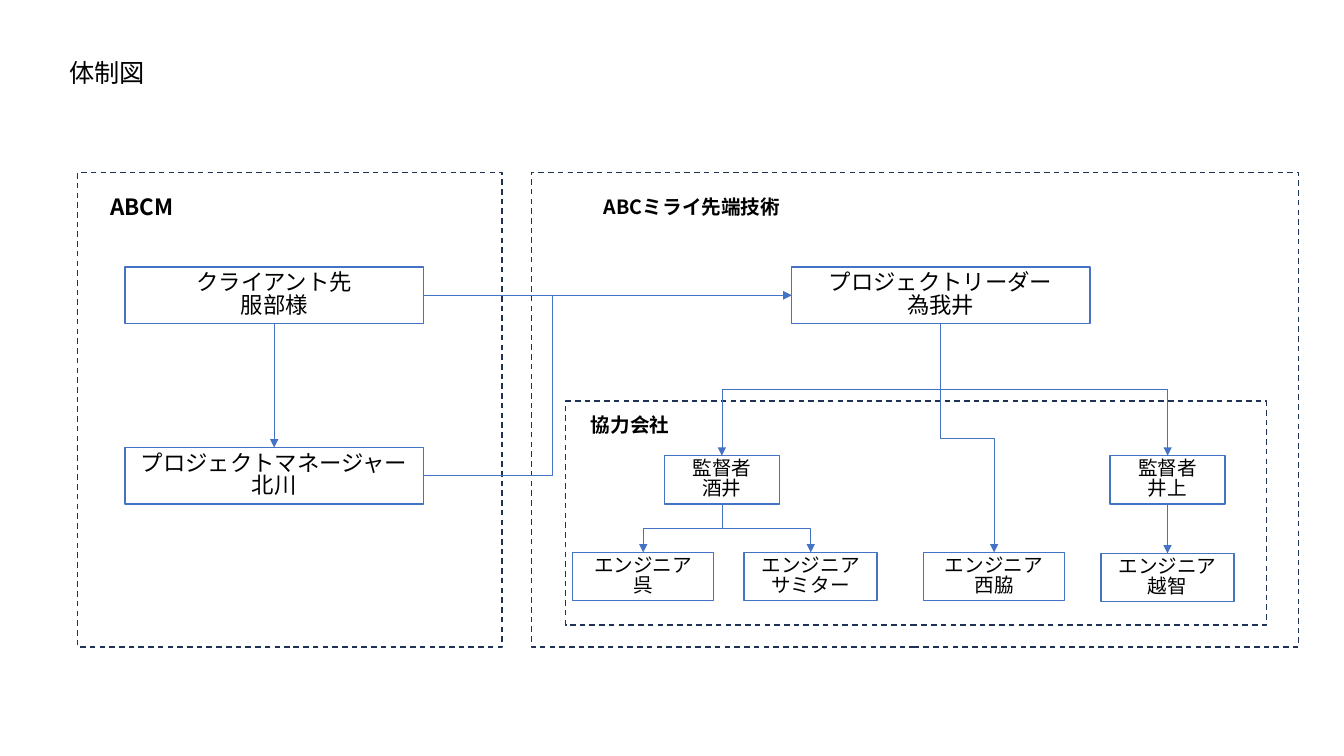
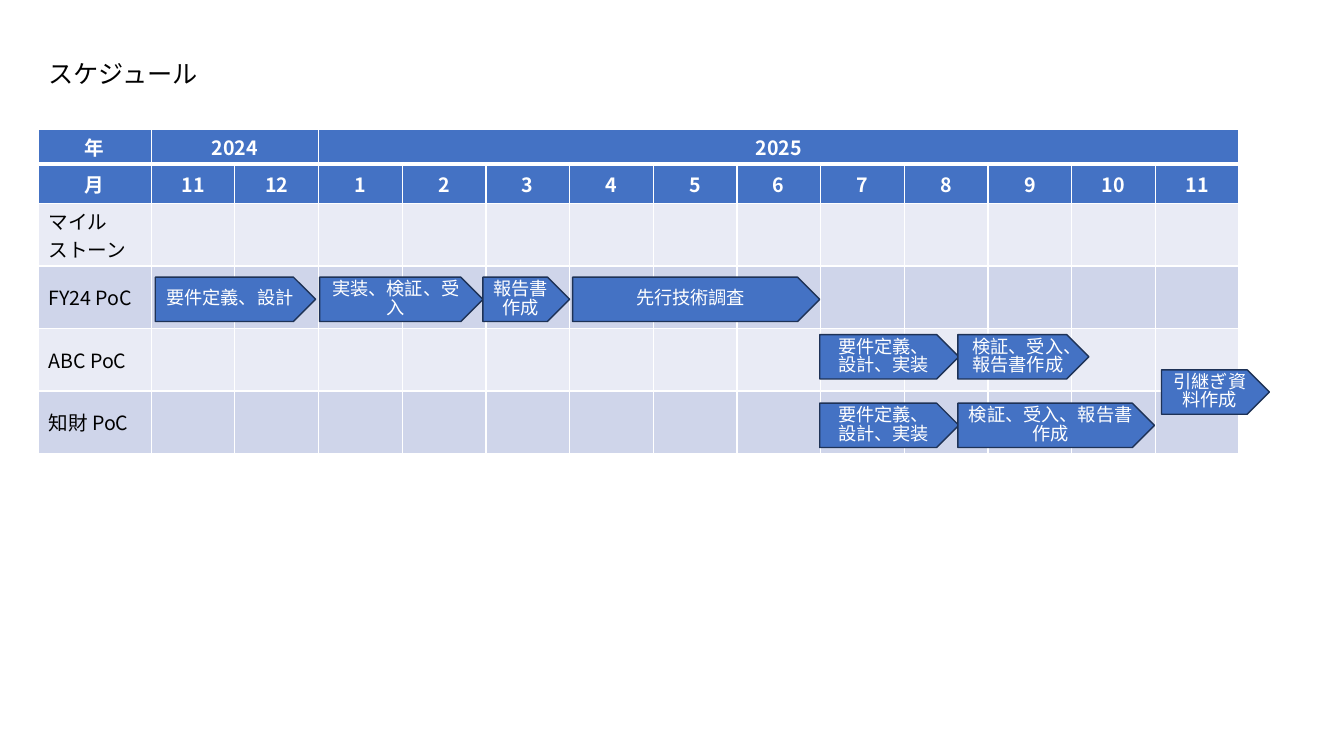
from dataclasses import dataclass

from lxml import etree
from pptx import Presentation
from pptx.dml.color import RGBColor
from pptx.enum.dml import MSO_LINE
from pptx.enum.shapes import MSO_CONNECTOR, MSO_SHAPE
from pptx.enum.text import MSO_ANCHOR, PP_ALIGN
from pptx.oxml.ns import qn
from pptx.util import Pt

PX = 9144  # 100 px to the inch
FONT = "Noto Sans CJK SC"
WHITE, BLACK, BLUE, NAVY = "FFFFFF", "000000", "4472C4", "1E3256"
BANDS = ("E9EBF5", "CFD5EA")
RECT, PLATE = MSO_SHAPE.RECTANGLE, MSO_SHAPE.PENTAGON
LINE, ELBOW = MSO_CONNECTOR.STRAIGHT, MSO_CONNECTOR.ELBOW
DASH = MSO_LINE.DASH
MIDDLE = MSO_ANCHOR.MIDDLE
LEFT, CENTER = PP_ALIGN.LEFT, PP_ALIGN.CENTER
TOP, SIDE, FOOT, RIGHT = 0, 1, 2, 3  # connection sites of a rectangle
TIGHT = 0.84


@dataclass
class Style:
    size: int
    color: str = BLACK
    bold: bool = False
    align: PP_ALIGN = CENTER
    space: float = 1.0


@dataclass
class Box:
    text: str
    x: int
    y: int
    w: int
    h: int
    size: int = 14


@dataclass
class Link:
    start: str
    end: str
    down: bool = True
    bend: float = 0.5


@dataclass
class Bar:
    text: str
    x: int
    y: int
    w: int


FRAMES = [Box("", 77, 171, 421, 471), Box("", 527, 171, 761, 471),
          Box("", 561, 398, 695, 222)]
LABELS = [Box("ABCM", 83, 185, 116, 44, 16),
          Box("ABCミライ先端技術", 588, 185, 197, 44),
          Box("協力会社", 568, 414, 114, 18)]
PEOPLE = {
    "client": Box("クライアント先\n服部様", 124, 265, 296, 56, 16),
    "manager": Box("プロジェクトマネージャー\n北川", 124, 444, 296, 56, 16),
    "leader": Box("プロジェクトリーダー\n為我井", 785, 265, 296, 56, 16),
    "sakai": Box("監督者\n酒井", 659, 452, 114, 48),
    "inoue": Box("監督者\n井上", 1101, 452, 114, 48),
    "kure": Box("エンジニア\n呉", 568, 548, 140, 48),
    "samita": Box("エンジニア\nサミター", 738, 548, 132, 48),
    "nishi": Box("エンジニア\n西脇", 916, 548, 140, 48),
    "ochi": Box("エンジニア\n越智", 1092, 549, 132, 48),
}
LINKS = [Link("client", "leader", down=False), Link("client", "manager"),
         Link("manager", "leader", down=False, bend=0.351),
         Link("leader", "sakai"), Link("leader", "inoue"),
         Link("leader", "nishi"), Link("sakai", "kure"),
         Link("sakai", "samita"), Link("inoue", "ochi")]

COLS = [112] + [83] * 13
ROWS = [35, 39] + [62] * 4
YEARS = {0: "年", 1: "2024", 3: "2025"}
MONTHS = ["月", "11", "12"] + [str(n) for n in range(1, 12)]
TASKS = ["マイル\nストーン", "FY24 PoC", "ABC PoC", "知財 PoC"]
BUILD, CHECK = "要件定義、設計、実装", "検証、受入、報告書作成"
BARS = [Bar("要件定義、設計", 154, 275, 159), Bar("実装、検証、受入", 317, 275, 162),
        Bar("報告書作成", 479, 275, 86), Bar("先行技術調査", 568, 275, 245),
        Bar(BUILD, 813, 332, 138), Bar(CHECK, 950, 332, 130),
        Bar(BUILD, 813, 400, 138), Bar(CHECK, 950, 400, 195),
        Bar("引継ぎ資料作成", 1152, 367, 107)]


def rgb(code: str) -> RGBColor:
    return RGBColor.from_string(code)


def emu(*sizes: float) -> list[int]:
    return [round(size * PX) for size in sizes]


def write(frame, text: str, style: Style) -> None:
    frame.text = text
    for para in frame.paragraphs:
        para.alignment = style.align
        para.line_spacing = style.space
        for run in para.runs:
            font = run.font
            font.name, font.size, font.bold = FONT, Pt(style.size), style.bold
            font.color.rgb = rgb(style.color)
            east = etree.SubElement(run._r.get_or_add_rPr(), qn("a:ea"))
            east.set("typeface", FONT)


def add_shape(slide, kind, at: tuple, fill: str = "", line: str = ""):
    shape = slide.shapes.add_shape(kind, *emu(*at))
    shape.shadow.inherit = False
    if fill:
        shape.fill.solid()
        shape.fill.fore_color.rgb = rgb(fill)
    else:
        shape.fill.background()
    if line:
        shape.line.color.rgb = rgb(line)
        shape.line.width = Pt(1)
    else:
        shape.line.fill.background()
    shape.text_frame.word_wrap = True
    shape.text_frame.vertical_anchor = MIDDLE
    return shape


def add_box(slide, box: Box, line: str = "", bold: bool = False):
    shape = add_shape(slide, RECT, (box.x, box.y, box.w, box.h), WHITE, line)
    write(shape.text_frame, box.text, Style(box.size, bold=bold, space=TIGHT))
    return shape


def add_title(slide, text: str, x: int, y: int) -> None:
    title = slide.shapes.add_textbox(*emu(x, y, 556, 40))
    title.text_frame.word_wrap = True
    write(title.text_frame, text, Style(18, align=LEFT))


def turn(line, start: tuple, end: tuple) -> None:
    """Make an elbow leave its start downwards."""
    wide, high = abs(end[0] - start[0]), end[1] - start[1]
    mid_x, mid_y = (start[0] + end[0]) / 2, (start[1] + end[1]) / 2
    line.left, line.top, line.width, line.height = emu(
        mid_x - high / 2, mid_y - wide / 2, high, wide)
    xfrm = line._element.spPr.find(qn("a:xfrm"))
    for flip in ("flipH", "flipV"):
        xfrm.attrib.pop(flip, None)
    if end[0] < start[0]:
        xfrm.set("rot", "5400000")
    else:
        xfrm.set("rot", "16200000")
        xfrm.set("flipH", "1")


def add_link(slide, link: Link, shapes: dict) -> None:
    one, two = PEOPLE[link.start], PEOPLE[link.end]
    if link.down:
        start, end = (one.x + one.w / 2, one.y + one.h), (two.x + two.w / 2, two.y)
        sites = FOOT, TOP
    else:
        start, end = (one.x + one.w, one.y + one.h / 2), (two.x, two.y + two.h / 2)
        sites = RIGHT, SIDE
    bent = start[0] != end[0] and start[1] != end[1]
    line = slide.shapes.add_connector(ELBOW if bent else LINE, *emu(*start, *end))
    line.begin_connect(shapes[link.start], sites[0])
    line.end_connect(shapes[link.end], sites[1])
    props = line._element.spPr
    if bent:
        if link.down:
            turn(line, start, end)
        guides = props.find(qn("a:prstGeom")).find(qn("a:avLst"))
        etree.SubElement(guides, qn("a:gd"), name="adj1",
                         fmla=f"val {round(link.bend * 100000)}")
    line.line.color.rgb = rgb(BLUE)
    line.line.width = Pt(0.5)
    etree.SubElement(props.find(qn("a:ln")), qn("a:tailEnd"), type="triangle")
    etree.SubElement(props, qn("a:effectLst"))


def edge(cell, side: str, width: float) -> None:
    props = cell._tc.get_or_add_tcPr()
    line = etree.SubElement(props, qn(f"a:ln{side}"), w=str(Pt(width)))
    fill = etree.SubElement(line, qn("a:solidFill"))
    etree.SubElement(fill, qn("a:srgbClr"), val=WHITE)


def add_table(slide) -> None:
    table = slide.shapes.add_table(
        len(ROWS), len(COLS), *emu(38, 128, sum(COLS), sum(ROWS))).table
    for col, width in zip(table.columns, emu(*COLS)):
        col.width = width
    for row, height in zip(table.rows, emu(*ROWS)):
        row.height = height
    for r in range(len(ROWS)):
        for c in range(len(COLS)):
            cell = table.cell(r, c)
            cell.vertical_anchor = MIDDLE
            cell.margin_top, cell.margin_bottom = emu(2, 2)
            for side in "LRTB":
                thick = (r, side) in ((0, "B"), (1, "T"))
                edge(cell, side, 3 if thick else 1)
            cell.fill.solid()
            cell.fill.fore_color.rgb = rgb(BLUE if r < 2 else BANDS[r % 2])
    table.cell(0, 1).merge(table.cell(0, 2))
    table.cell(0, 3).merge(table.cell(0, 13))
    head, body = Style(14, WHITE, True), Style(14, align=LEFT)
    for c, year in YEARS.items():
        write(table.cell(0, c).text_frame, year, head)
    for c, month in enumerate(MONTHS):
        write(table.cell(1, c).text_frame, month, head)
    for r, task in enumerate(TASKS, 2):
        write(table.cell(r, 0).text_frame, task, body)


def draw_team(slide) -> None:
    for box in FRAMES:
        frame = add_shape(slide, RECT, (box.x, box.y, box.w, box.h), line=NAVY)
        frame.line.dash_style = DASH
    for box in LABELS:
        add_box(slide, box, bold=True)
    shapes = {key: add_box(slide, box, BLUE) for key, box in PEOPLE.items()}
    for link in LINKS:
        add_link(slide, link, shapes)
    add_title(slide, "体制図", 59, 52)


def draw_plan(slide) -> None:
    add_title(slide, "スケジュール", 38, 53)
    add_table(slide)
    for bar in BARS:
        shape = add_shape(slide, PLATE, (bar.x, bar.y, bar.w, 44), BLUE, NAVY)
        write(shape.text_frame, bar.text, Style(13, WHITE, space=TIGHT))


def main() -> None:
    deck = Presentation()
    deck.slide_width, deck.slide_height = emu(1333, 750)
    for draw in (draw_team, draw_plan):
        draw(deck.slides.add_slide(deck.slide_layouts[6]))
    deck.save("out.pptx")


if __name__ == "__main__":
    main()
